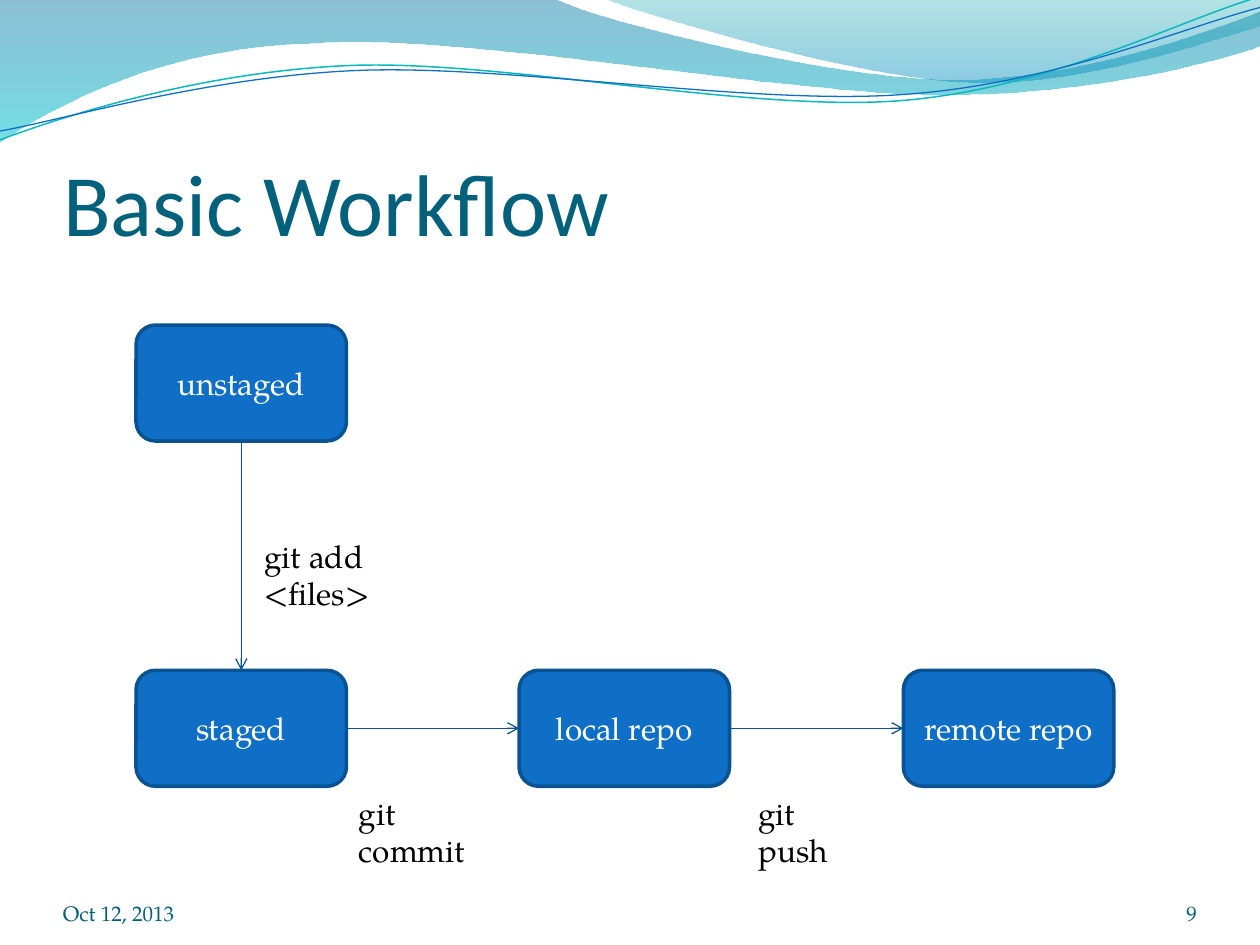
"""Build the Basic Workflow slide with its wave header and git flow diagram."""
from math import cos, radians, sin
from typing import NamedTuple

from pptx import Presentation
from pptx.dml.color import RGBColor
from pptx.enum.shapes import MSO_CONNECTOR, MSO_SHAPE
from pptx.enum.text import MSO_ANCHOR, MSO_AUTO_SIZE, PP_ALIGN
from pptx.oxml.ns import qn
from pptx.util import Inches, Pt
from lxml.etree import SubElement

SERIF = "TeX Gyre Pagella"
TOP, BOTTOM, LEFT, RIGHT = 0, 2, 1, 3
TILT = 2.7


class Wave(NamedTuple):
    """Outline of corner points (2 numbers) and Bezier curves (6 numbers)."""
    pts: list
    stops: tuple = ()
    line: tuple = ()
    center: tuple = ()


class Box(NamedTuple):
    """A repository state."""
    text: str
    x: float
    y: float


class Arrow(NamedTuple):
    """A link between two boxes by connection site."""
    start: str
    site: int
    end: str
    end_site: int


class Label(NamedTuple):
    """A free text with its place and format."""
    text: str
    x: float
    y: float
    w: float
    size: int = 18
    color: str = "000000"
    align: PP_ALIGN = PP_ALIGN.LEFT
    anchor: MSO_ANCHOR = MSO_ANCHOR.TOP
    margins: tuple = (0.1, 0.05, 0.35, 0.05)


WAVES = [
    Wave([(0, 0), (4.4, -0.01), (4.76, 0.17, 6.64, 0.63, 7.58, 0.63),
          (8.53, 0.63, 9.58, 0.26, 10, 0.09), (10.01, 0.36),
          (9.83, 0.44, 8.7, 0.76, 7.46, 0.75), (6.22, 0.75, 3.82, 0.28, 2.57, 0.34),
          (1.29, 0.36, 0.46, 0.83, -0.01, 1.13), (0, 0)],
         stops=(("0074A1", 45), ("00C6CF", 55))),
    Wave([(4.79, -0.01), (5.09, 0.11, 6.82, 0.62, 7.69, 0.65),
          (8.56, 0.69, 9.61, 0.32, 10, 0.21), (10, 0), (4.79, -0.01)],
         stops=(("00A1A9", 30), ("008BBF", 45))),
    Wave([(0, 1.11), (0.48, 0.93, 1.58, 0.57, 2.77, 0.52),
          (3.95, 0.47, 5.93, 0.89, 7.13, 0.8), (8.33, 0.71, 9.38, 0.15, 9.98, -0.02)],
         line=("0AB8BF", 0.85), center=(4.99, 0.58)),
    Wave([(0, 1.04), (0.47, 0.96, 1.64, 0.61, 2.83, 0.56),
          (4.03, 0.51, 5.97, 0.84, 7.17, 0.75), (8.36, 0.67, 9.41, 0.21, 10, 0.06)],
         line=("0F6FC6", 0.75), center=(5, 0.59)),
]
COL_X = (1.08, 4.12, 7.17)
BOXES = [Box("unstaged", COL_X[0], 2.58)] + [
    Box(text, x, 5.32) for text, x in zip(("staged", "local repo", "remote repo"), COL_X)]
ARROWS = [
    Arrow("staged", RIGHT, "local repo", LEFT),
    Arrow("local repo", RIGHT, "remote repo", LEFT),
    Arrow("unstaged", BOTTOM, "staged", TOP),
]
FOOTER = dict(size=12, color="045D75", anchor=MSO_ANCHOR.BOTTOM, margins=(0, 0, 0, 0))
LABELS = [
    Label("git add <files>", 2, 4.21, 1.74),
    Label("git commit", 2.75, 6.25, 1.39),
    Label("git push", 5.92, 6.25, 1.08),
    Label("Oct 12, 2013", 0.5, 6.95, 2.33, **FOOTER),
    Label("9", 8.67, 6.95, 0.83, align=PP_ALIGN.RIGHT, **FOOTER),
]


def rgb(value: str) -> RGBColor:
    """Turn a hex string into a colour."""
    return RGBColor.from_string(value)


def set_line(sp, color: str, width: float) -> None:
    """Give an outline its colour and width."""
    sp.line.color.rgb = rgb(color)
    sp.line.width = Pt(width)


def set_text(sp, text: str, size: int, color: str, font: str = SERIF,
             align=PP_ALIGN.LEFT, anchor=MSO_ANCHOR.MIDDLE,
             margins=(0.1, 0.05, 0.1, 0.05)) -> None:
    """Fill a shape with one formatted run."""
    tf = sp.text_frame
    fmt = dict(zip(("margin_left", "margin_top", "margin_right", "margin_bottom"),
                   map(Inches, margins)),
               word_wrap=True, auto_size=MSO_AUTO_SIZE.NONE, vertical_anchor=anchor)
    for name, value in fmt.items():
        setattr(tf, name, value)
    p = tf.paragraphs[0]
    p.alignment = align
    r = p.add_run()
    r.text = text
    for name, value in {"size": Pt(size), "name": font}.items():
        setattr(r.font, name, value)
    r.font.color.rgb = rgb(color)


def turn(pt: tuple, center: tuple) -> tuple:
    """Turn a point clockwise by the tilt around a center."""
    a, dx, dy = radians(TILT), pt[0] - center[0], pt[1] - center[1]
    return (center[0] + dx * cos(a) - dy * sin(a), center[1] + dx * sin(a) + dy * cos(a))


def curve_segments(sp, pts: list) -> None:
    """Join the three line segments of each Bezier curve into one curve."""
    segs = iter(list(sp._element.iter(qn("a:lnTo"))))
    for pt in pts[1:]:
        group = [next(segs) for _ in range(len(pt) // 2)]
        if len(group) == 3:
            parent = group[0].getparent()
            curve = SubElement(parent, qn("a:cubicBezTo"))
            parent.insert(parent.index(group[0]), curve)
            for seg in group:
                curve.append(seg[0])
                parent.remove(seg)


def add_wave(s, wave: Wave) -> None:
    """Draw a gradient band or a wavy line."""
    pts = [pt[i:i + 2] for pt in wave.pts for i in range(0, len(pt), 2)]
    if wave.center:
        pts = [turn(pt, wave.center) for pt in pts]
    first, *rest = [(Inches(x), Inches(y)) for x, y in pts]
    fb = s.shapes.build_freeform(*first)
    fb.add_line_segments(rest, close=bool(wave.stops))
    sp = fb.convert_to_shape()
    curve_segments(sp, wave.pts)
    sp.shadow.inherit = False
    if wave.line:
        sp.rotation = 360 - TILT
        sp.fill.background()
        set_line(sp, *wave.line)
        return
    sp.line.fill.background()
    sp.fill.gradient()
    sp.fill.gradient_angle = 270
    for stop, (color, _) in zip(sp.fill.gradient_stops, wave.stops):
        stop.color.rgb = rgb(color)
    for clr, (_, alpha) in zip(sp._element.iter(qn("a:srgbClr")), wave.stops):
        SubElement(clr, qn("a:alpha")).set("val", str(alpha * 1000))


def add_box(s, box: Box):
    """Draw a rounded state box."""
    sp = s.shapes.add_shape(MSO_SHAPE.ROUNDED_RECTANGLE, Inches(box.x), Inches(box.y),
                            Inches(1.67), Inches(0.92))
    sp.shadow.inherit = False
    sp.fill.solid()
    sp.fill.fore_color.rgb = rgb("0F6FC6")
    set_line(sp, "0B5292", 2)
    set_text(sp, box.text, 18, "FFFFFF", align=PP_ALIGN.CENTER)
    return sp


def add_arrow(s, arrow: Arrow, boxes: dict) -> None:
    """Connect two boxes with an open arrowhead."""
    cx = s.shapes.add_connector(MSO_CONNECTOR.STRAIGHT, 0, 0, 0, 0)
    cx.begin_connect(boxes[arrow.start], arrow.site)
    cx.end_connect(boxes[arrow.end], arrow.end_site)
    set_line(cx, "095295", 0.75)
    SubElement(cx.line._get_or_add_ln(), qn("a:tailEnd")).set("type", "arrow")
    SubElement(cx._element.spPr, qn("a:effectLst"))


def add_label(s, label: Label) -> None:
    """Place a text box."""
    sp = s.shapes.add_textbox(*map(Inches, (label.x, label.y, label.w, 0.4)))
    set_text(sp, label.text, label.size, label.color, align=label.align,
             anchor=label.anchor, margins=label.margins)


prs = Presentation()
prs.slide_width, prs.slide_height = Inches(10), Inches(7.5)
s = prs.slides.add_slide(prs.slide_layouts[5])
for wave in WAVES:
    add_wave(s, wave)
for name, value in {"left": 0.5, "top": 0.77, "width": 9, "height": 1.25}.items():
    setattr(s.shapes.title, name, Inches(value))
set_text(s.shapes.title, "Basic Workflow", 50, "04617B", "Calibri",
         anchor=MSO_ANCHOR.BOTTOM, margins=(0, 0.05, 0, 0))
boxes = {box.text: add_box(s, box) for box in BOXES}
for arrow in ARROWS:
    add_arrow(s, arrow, boxes)
for label in LABELS:
    add_label(s, label)
prs.save("out.pptx")
